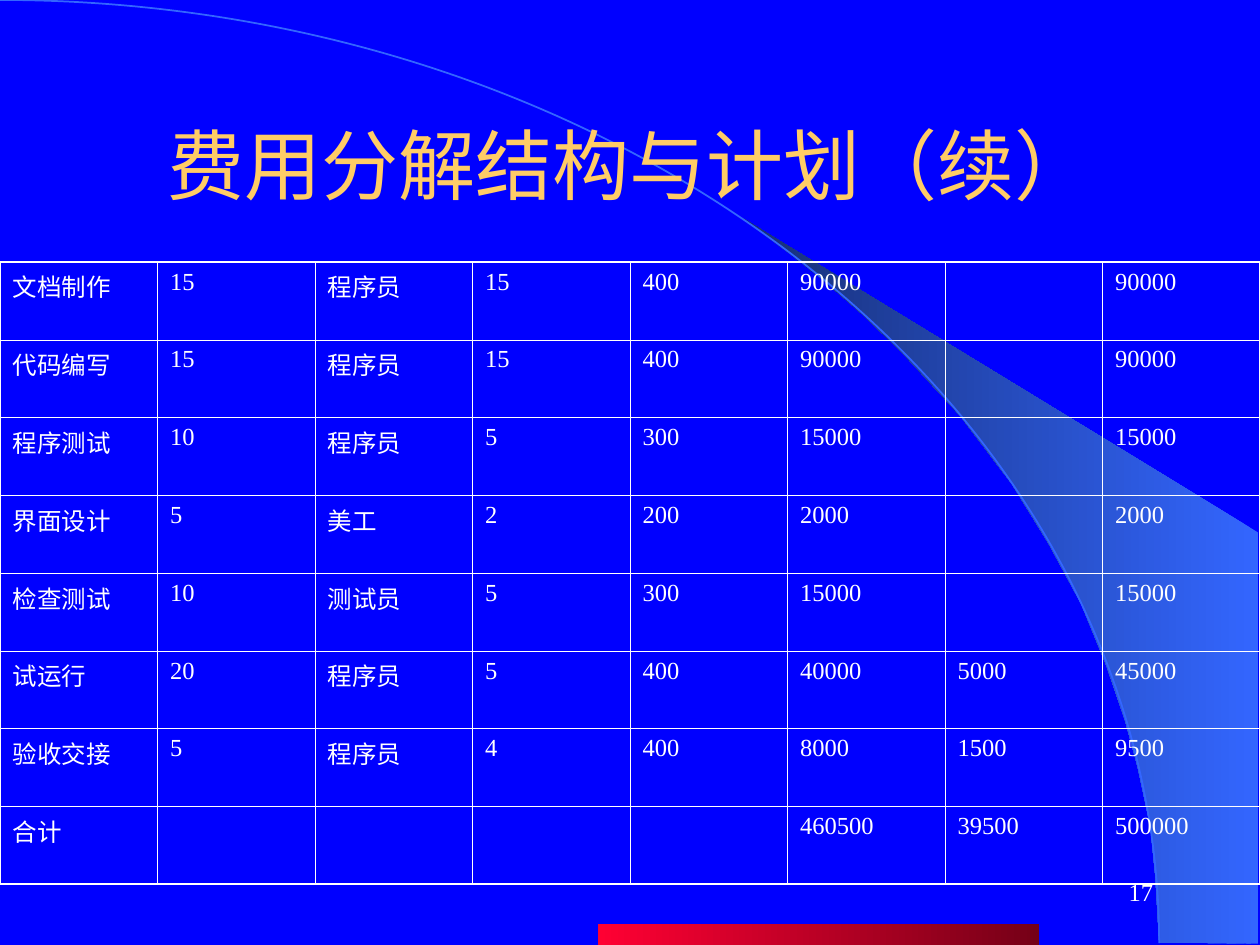
from lxml import etree
from pptx import Presentation
from pptx import util as u
from pptx.dml.color import RGBColor
from pptx.enum import shapes, text
from pptx.oxml.ns import qn

COLORS = {
    "background": "0000FF", "title": "FFCC66", "body": "FFFFFF",
    "arc": "3366FF", "shade": "172F75", "red": "FF0033", "dark_red": "750017",
}
WEDGE = [
    (9.2, 7.48), (9.99, 7.49), (9.99, 4.23), (5.89, 1.73), (6.24, 1.99), (6.53, 2.22),
    (6.85, 2.5), (7.16, 2.8), (7.62, 3.3), (8.03, 3.84), (8.32, 4.31), (8.58, 4.79),
    (8.78, 5.28), (8.93, 5.72), (9.03, 6.09), (9.13, 6.56), (9.17, 6.96),
]
COSTS = [
    ["文档制作", "15", "程序员", "15", "400", "90000", "", "90000"],
    ["代码编写", "15", "程序员", "15", "400", "90000", "", "90000"],
    ["程序测试", "10", "程序员", "5", "300", "15000", "", "15000"],
    ["界面设计", "5", "美工", "2", "200", "2000", "", "2000"],
    ["检查测试", "10", "测试员", "5", "300", "15000", "", "15000"],
    ["试运行", "20", "程序员", "5", "400", "40000", "5000", "45000"],
    ["验收交接", "5", "程序员", "4", "400", "8000", "1500", "9500"],
    ["合计", "", "", "", "", "460500", "39500", "500000"],
]


class SlideBuilder:
    """Holds the deck style and the current page, and adds elements to it."""

    latin, chinese = "Times New Roman", "Noto Sans CJK SC"
    inner_line, outer_line = u.Pt(0.45), u.Pt(1.08)

    def __init__(self, deck):
        self.page = deck.slides.add_slide(deck.slide_layouts[6])
        fill = self.page.background.fill
        fill.solid()
        fill.fore_color.rgb = self.color("background")

    def color(self, name):
        return RGBColor.from_string(COLORS[name])

    def gradient(self, shape, start, end):
        shape.shadow.inherit = False
        shape.line.fill.background()
        shape.fill.gradient()
        shape.fill.gradient_angle = 180
        for stop, name in zip(shape.fill.gradient_stops, (start, end)):
            stop.color.rgb = self.color(name)

    def wedge(self, points, start, end):
        places = [(u.Inches(x), u.Inches(y)) for x, y in points]
        builder = self.page.shapes.build_freeform(*places[0])
        builder.add_line_segments(places[1:], close=True)
        self.gradient(builder.convert_to_shape(), start, end)

    def preset(self, kind, *place):
        return self.page.shapes.add_shape(kind, *map(u.Inches, place))

    def arc(self, color, *place):
        shape = self.preset(shapes.MSO_SHAPE.ARC, *place)
        shape.shadow.inherit = False
        shape.fill.background()
        shape.line.color.rgb = self.color(color)
        shape.line.width = u.Pt(1)

    def bar(self, start, end, *place):
        self.gradient(self.preset(shapes.MSO_SHAPE.RECTANGLE, *place), start, end)

    def span(self, para, words, size, color, font):
        span = para.add_run()
        span.text = words
        span.font.size = u.Pt(size)
        span.font.name = font
        span.font.color.rgb = self.color(color)
        properties = span.font._element
        etree.SubElement(properties, qn("a:ea")).set("typeface", self.chinese)

    def text(self, words, size, color, font, align, *place):
        box = self.page.shapes.add_textbox(*map(u.Inches, place))
        frame = box.text_frame
        frame.word_wrap = True
        frame.vertical_anchor = text.MSO_ANCHOR.MIDDLE
        para = frame.paragraphs[0]
        para.alignment = align
        self.span(para, words, size, color, font)

    def border(self, cell, outer_sides):
        properties = cell._tc.get_or_add_tcPr()
        for index, side in enumerate("LRTB"):
            line = etree.Element(qn(f"a:ln{side}"))
            line.set("w", str(self.outer_line if side in outer_sides else self.inner_line))
            fill = etree.SubElement(line, qn("a:solidFill"))
            etree.SubElement(fill, qn("a:srgbClr")).set("val", COLORS["body"])
            properties.insert(index, line)

    def table(self, rows, *place):
        last_row, last_column = len(rows) - 1, len(rows[0]) - 1
        frame = self.page.shapes.add_table(len(rows), len(rows[0]), *map(u.Inches, place))
        table = frame.table
        table.first_row = table.horz_banding = False
        for r, row in enumerate(rows):
            for c, words in enumerate(row):
                cell = table.cell(r, c)
                cell.fill.background()
                edges = {"L": c == 0, "R": c == last_column, "T": r == 0, "B": r == last_row}
                self.border(cell, [side for side, outer in edges.items() if outer])
                if words:
                    self.span(cell.text_frame.paragraphs[0], words, 14, "body", self.latin)


def main():
    deck = Presentation()
    deck.slide_width, deck.slide_height = u.Inches(10), u.Inches(7.5)
    slide = SlideBuilder(deck)
    slide.wedge(WEDGE, "arc", "shade")
    slide.arc("arc", -9.2, 0, 18.4, 14.97)
    slide.text("费用分解结构与计划（续）", 44, "title", slide.chinese,
               text.PP_ALIGN.CENTER, 0.75, 0.67, 8.5, 1.25)
    slide.bar("dark_red", "red", 4.75, 7.33, 3.5, 0.33)
    slide.table(COSTS, 0, 2.08, 10, 4.94)
    slide.text("17", 14, "body", slide.latin, text.PP_ALIGN.RIGHT, 7.17, 6.83, 2.08, 0.5)
    deck.save("out.pptx")


if __name__ == "__main__":
    main()
